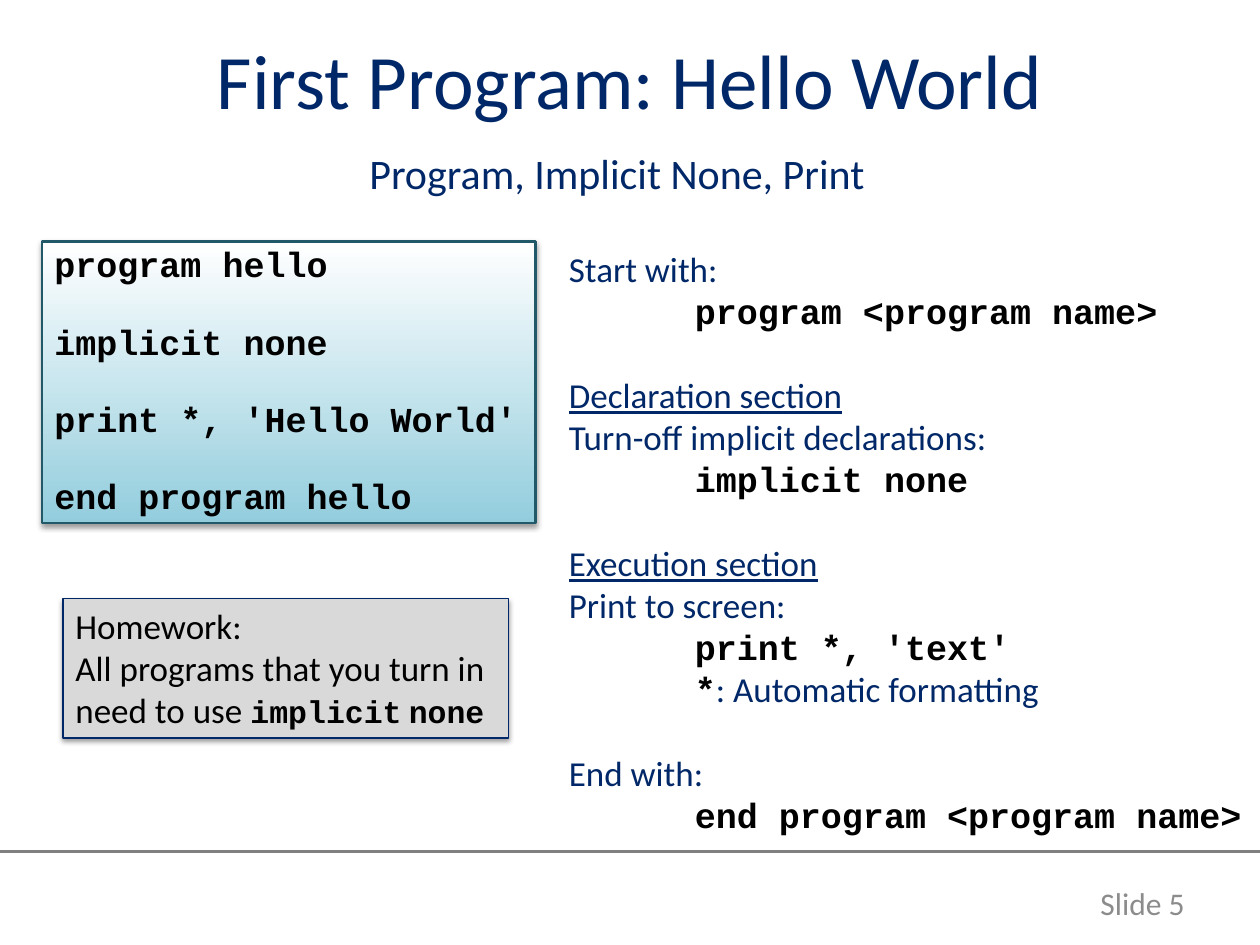
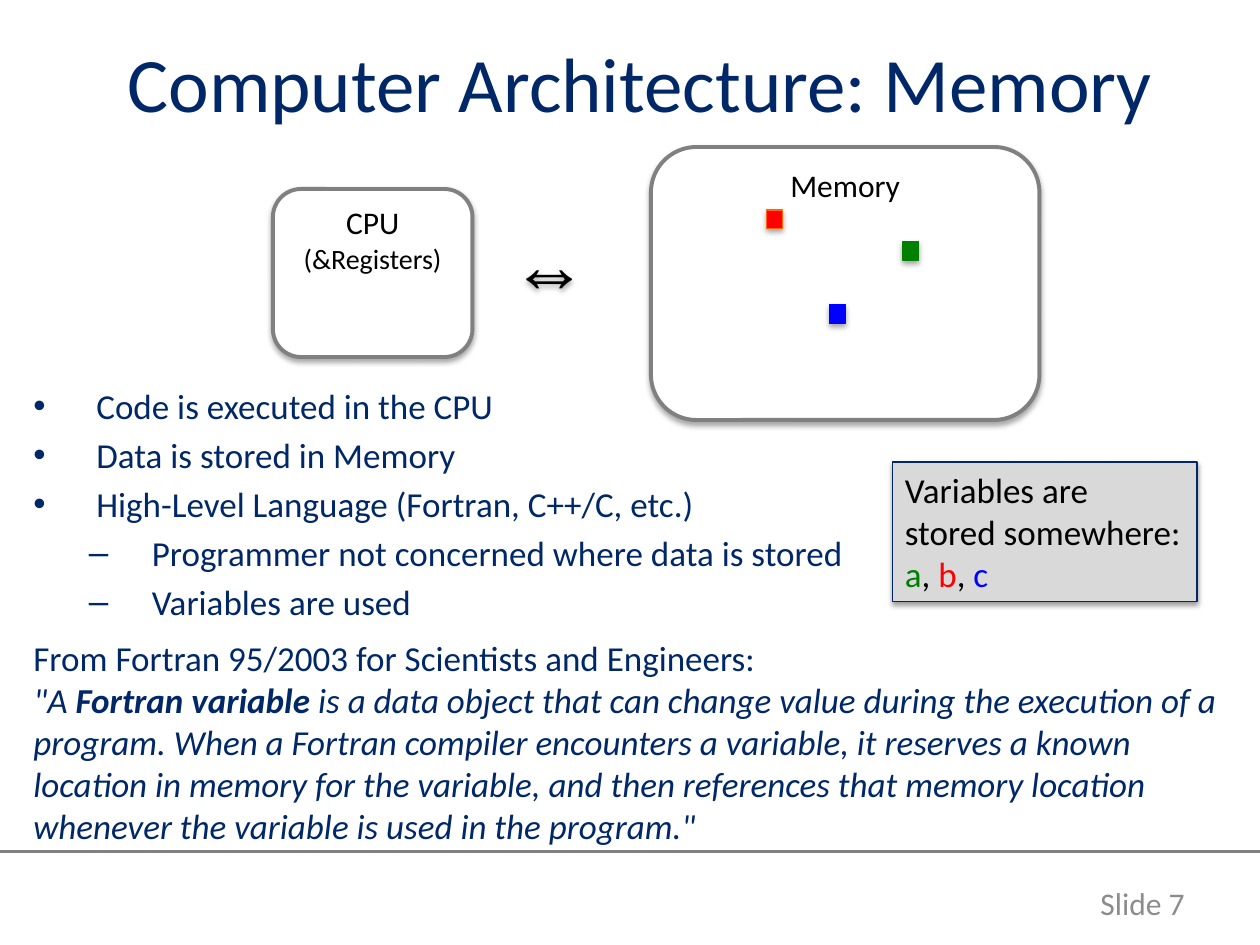
from lxml import etree
from pptx import Presentation
from pptx.dml.color import RGBColor
from pptx.enum.shapes import MSO_CONNECTOR, MSO_SHAPE
from pptx.enum.text import MSO_ANCHOR, PP_ALIGN
from pptx.oxml.ns import qn
from pptx.util import Inches, Pt

RECTANGLE, ROUNDED = MSO_SHAPE.RECTANGLE, MSO_SHAPE.ROUNDED_RECTANGLE
STRAIGHT = MSO_CONNECTOR.STRAIGHT
TOP, MIDDLE = MSO_ANCHOR.TOP, MSO_ANCHOR.MIDDLE
LEFT, CENTER, RIGHT = PP_ALIGN.LEFT, PP_ALIGN.CENTER, PP_ALIGN.RIGHT

NAVY, BLACK, WHITE, GRAY = "002868", "000000", "FFFFFF", "808080"
PALE_GRAY, FOOTER_GRAY = "D9D9D9", "8C8C8C"
RED, GREEN, BLUE = "FF0000", "008000", "0000FF"
TEAL, AQUA, ORANGE = "215968", "93CDDD", "FF6600"

COLUMNS, ROWS = 120, 90
RULE_ROW = 81.1
TEXT = {"font": "Calibri", "size": 20, "color": NAVY}
DARK = {**TEXT, "color": BLACK}
CODE = {**DARK, "font": "Courier New", "bold": True}
HEADING = {**TEXT, "underline": True}
QUOTE = {**TEXT, "italic": True}

deck = Presentation()
deck.slide_width, deck.slide_height = Inches(10), Inches(7.5)
column, row = deck.slide_width / COLUMNS, deck.slide_height / ROWS


def add_box(page, cells, kind=None, fill=None, line=None, width=0.75, shade=0):
    left, top, wide, high = cells
    area = [int(n) for n in (left * column, top * row, wide * column, high * row)]
    if kind is None:
        box = page.shapes.add_textbox(*area)
    else:
        box = page.shapes.add_shape(kind, *area)
        box.line.color.rgb = RGBColor.from_string(line)
        box.line.width = Pt(width)
        if fill:
            box.fill.solid()
            box.fill.fore_color.rgb = RGBColor.from_string(fill)
    box.shadow.inherit = False
    if shade:
        effects = box._element.spPr.find(qn("a:effectLst"))
        shadow = etree.SubElement(
            effects, qn("a:outerShdw"), blurRad="40000",
            dist="20000", dir="5400000", rotWithShape="0")
        color = etree.SubElement(shadow, qn("a:srgbClr"), val=BLACK)
        etree.SubElement(color, qn("a:alpha"), val=str(shade * 1000))
    return box


def write(box, lines, align=LEFT, anchor=TOP, spacing=None):
    frame = box.text_frame
    frame.word_wrap = True
    frame.vertical_anchor = anchor
    for index, (spans, before, indent, bullet) in enumerate(lines):
        para = frame.add_paragraph() if index else frame.paragraphs[0]
        para.alignment = align
        para.space_before = Pt(before)
        if spacing:
            para.line_spacing = spacing
        properties = para._p.get_or_add_pPr()
        if indent:
            properties.set("marL", str(Inches(indent)))
        if bullet:
            properties.set("indent", str(Inches(-0.5)))
            etree.SubElement(properties, qn("a:buFont"), typeface="Arial")
            etree.SubElement(properties, qn("a:buChar"), char=bullet)
        for text, style in spans:
            span = para.add_run()
            span.text = text
            span.font.name = style["font"]
            span.font.size = Pt(style["size"])
            span.font.color.rgb = RGBColor.from_string(style["color"])
            span.font.bold = style.get("bold", False)
            span.font.italic = style.get("italic", False)
            span.font.underline = style.get("underline", False)


pages = []
for title, title_left, title_top, number in [
    ("First Program: Hello World", 6, 0, 5),
    ("Computer Architecture: Memory", 7, 0.25, 7),
]:
    page = deck.slides.add_slide(deck.slide_layouts[5])
    pages.append(page)
    heading = page.shapes.title
    heading.left, heading.top = int(title_left * column), int(title_top * row)
    heading.width, heading.height = int(108 * column), int(15 * row)
    write(heading, [([(title, {**TEXT, "size": 44})], 0, 0, None)], CENTER, MIDDLE)
    rule_top = int(RULE_ROW * row)
    rule = page.shapes.add_connector(STRAIGHT, 0, rule_top, deck.slide_width, rule_top)
    rule.line.color.rgb = RGBColor.from_string(GRAY)
    rule.line.width = Pt(2)
    etree.SubElement(rule._element.spPr, qn("a:effectLst"))
    footer = add_box(page, (100.9, 83.6, 13.1, 4.8))
    footer_style = {**TEXT, "size": 18, "color": FOOTER_GRAY}
    write(footer, [([(f"Slide {number}", footer_style)], 0, 0, None)], RIGHT, MIDDLE)

program_page, memory_page = pages

subtitle = add_box(program_page, (34, 14, 53, 6))
write(subtitle, [([("Program, Implicit None, Print", {**TEXT, "size": 24})], 0, 0, None)],
      spacing=0.9)

listing = add_box(program_page, (4, 23, 47, 26.8), RECTANGLE, None, TEAL, 1.5, 38)
listing.fill.gradient()
listing.fill.gradient_angle = 90
for stop, color in zip(listing.fill.gradient_stops, (AQUA, WHITE)):
    stop.color.rgb = RGBColor.from_string(color)
statements = ["program hello", "implicit none", "print *, 'Hello World'", "end program hello"]
write(listing, [([(statement, CODE)], 22.5 if index else 0, 0, None)
                for index, statement in enumerate(statements)], spacing=0.9)

explanation = add_box(program_page, (53, 23, 67, 57.7))
write(explanation, [
    ([("Start with:", TEXT)], 0, 0, None),
    ([("program <program name>", CODE)], 0, 1, None),
    ([("Declaration section", HEADING)], 24, 0, None),
    ([("Turn-off implicit declarations:", TEXT)], 0, 0, None),
    ([("implicit none", CODE)], 0, 1, None),
    ([("Execution section", HEADING)], 24, 0, None),
    ([("Print to screen:", TEXT)], 0, 0, None),
    ([("print *, 'text'", CODE)], 0, 1, None),
    ([("*", CODE), (": Automatic formatting", TEXT)], 0, 1, None),
    ([("End with:", TEXT)], 24, 0, None),
    ([("end program <program name>", CODE)], 0, 1, None),
])

homework = add_box(program_page, (6, 57, 42.4, 13.3), RECTANGLE, PALE_GRAY, NAVY, shade=38)
small_code = {**CODE, "size": 18}
write(homework, [
    ([("Homework:", DARK)], 0, 0, None),
    ([("All programs that you turn in need to use ", DARK), ("implicit", small_code),
      (" ", {**DARK, "size": 18}), ("none", small_code)], 0, 0, None),
])

bullets = add_box(memory_page, (2, 36, 108, 22))
write(bullets, [([(text, TEXT)], 4 if index else 0, indent, mark)
                for index, (text, indent, mark) in enumerate([
                    ("Code is executed in the CPU", 0.5, "•"),
                    ("Data is stored in Memory", 0.5, "•"),
                    ("High-Level Language (Fortran, C++/C, etc.)", 0.5, "•"),
                    ("Programmer not concerned where data is stored", 0.94, "–"),
                    ("Variables are used", 0.94, "–"),
                ])])

for cells, labels in [
    ((26, 18, 19, 16), [("CPU", 18), ("(&Registers)", 16)]),
    ((62, 14, 37, 26), [("Memory", 18)]),
]:
    unit = add_box(memory_page, cells, ROUNDED, WHITE, GRAY, 2.25, 35)
    write(unit, [([(label, {**DARK, "size": size})], 0, 0, None)
                 for label, size in labels], CENTER)

exchange = add_box(memory_page, (49, 21, 9.8, 10.1), shade=35)
write(exchange, [([("⇔", {**CODE, "size": 44})], 0, 0, None)])

quotation = add_box(memory_page, (2, 60, 118, 21.4))
write(quotation, [
    ([("From Fortran 95/2003 for Scientists and Engineers:", TEXT)], 0, 0, None),
    ([("\"A ", QUOTE), ("Fortran variable ", {**QUOTE, "bold": True}),
      ("is a data object that can change value during the execution of a program. "
       "When a Fortran compiler encounters a variable, it reserves a known location "
       "in memory for the variable, and then references that memory location "
       "whenever the variable is used in the program.\"", QUOTE)], 0, 0, None),
])

for left, top, fill, line in [
    (73, 20, RED, ORANGE), (86, 23, GREEN, GREEN), (79, 29, BLUE, BLUE),
]:
    add_box(memory_page, (left, top, 1.5, 1.8), RECTANGLE, fill, line, shade=35)

variables = add_box(memory_page, (85, 44, 29, 13.3), RECTANGLE, PALE_GRAY, NAVY, shade=38)
write(variables, [
    ([("Variables are stored somewhere:", DARK)], 0, 0, None),
    ([("a", {**TEXT, "color": GREEN}), (", ", DARK), ("b", {**TEXT, "color": RED}),
      (", ", DARK), ("c", {**TEXT, "color": BLUE})], 0, 0, None),
])

deck.save("out.pptx")
